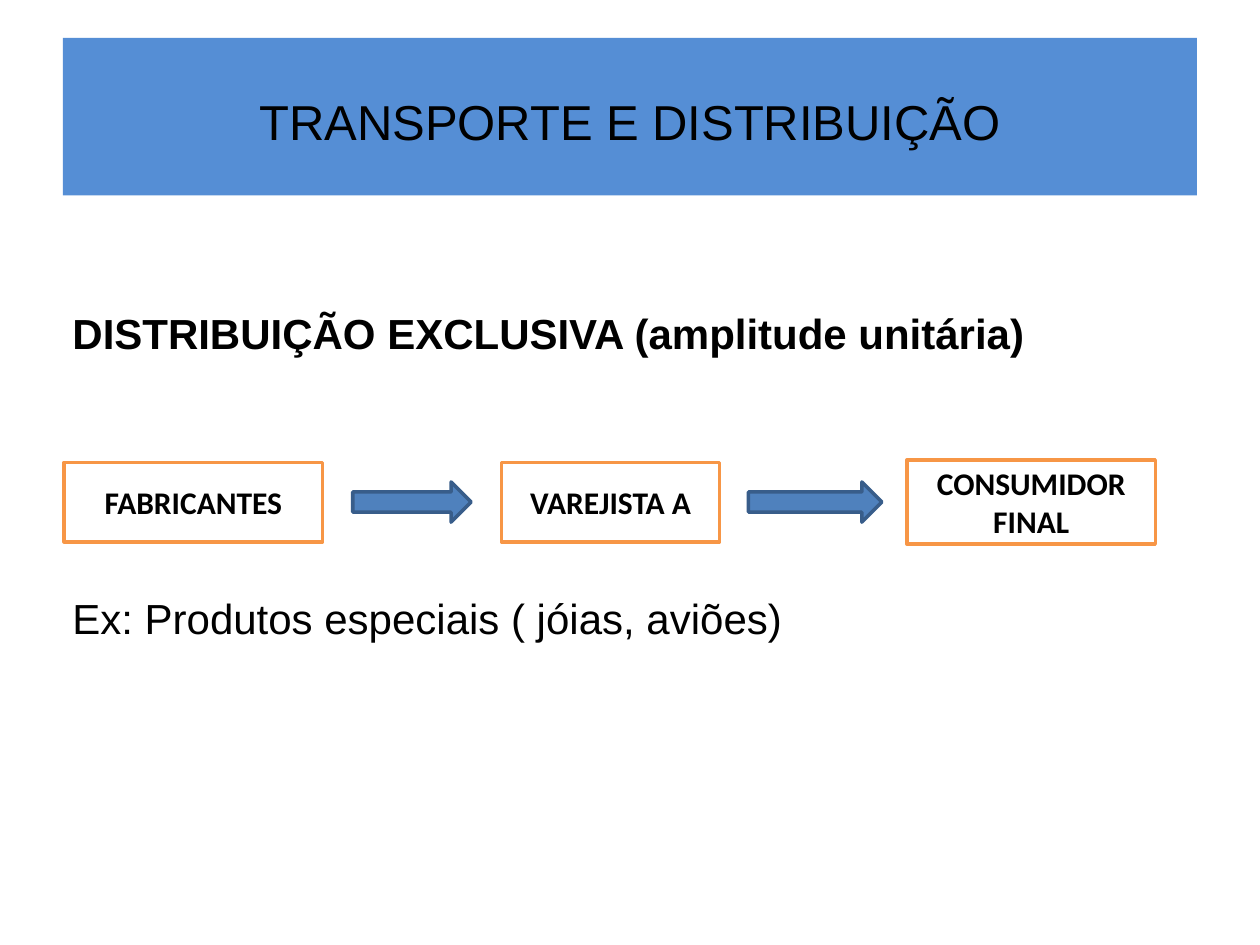
from pptx import Presentation
from pptx.dml.color import RGBColor
from pptx.enum import shapes, text
from pptx.util import Pt


def rgb(value):
    return RGBColor.from_string(value)


def write(tf, content, size=24, font="Arial", bold=False, align=text.PP_ALIGN.CENTER,
          before=0, new=False):
    p = tf.add_paragraph() if new else tf.paragraphs[0]
    p.alignment = align
    p.space_before = Pt(before)
    r = p.add_run()
    r.text = content
    r.font.size = Pt(size)
    r.font.name = font
    r.font.bold = bold
    r.font.color.rgb = rgb("000000")


prs = Presentation()
prs.slide_width, prs.slide_height = Pt(720), Pt(540)
s = prs.slides.add_slide(prs.slide_layouts[6])

sp = s.shapes.add_shape(shapes.MSO_SHAPE.RECTANGLE, Pt(36), Pt(21.6), Pt(648), Pt(90))
sp.shadow.inherit = False
sp.fill.solid()
sp.fill.fore_color.rgb = rgb("558ED5")
sp.line.fill.background()
tf = sp.text_frame
tf.word_wrap = True
tf.vertical_anchor = text.MSO_ANCHOR.MIDDLE
tf.margin_top = Pt(8.6)
write(tf, "TRANSPORTE E DISTRIBUIÇÃO", size=28)

tf = s.shapes.add_textbox(Pt(36), Pt(172.4), Pt(648), Pt(310)).text_frame
tf.word_wrap = True
tf.margin_left = Pt(5.4)
write(tf, "DISTRIBUIÇÃO EXCLUSIVA (amplitude unitária)", bold=True, align=text.PP_ALIGN.LEFT)
write(tf, "Ex: Produtos especiais ( jóias, aviões)", align=text.PP_ALIGN.LEFT,
      before=134, new=True)

middle = 286.9
box, arrow = shapes.MSO_SHAPE.FLOWCHART_PROCESS, shapes.MSO_SHAPE.RIGHT_ARROW
chain = [
    (box, 36.7, 147.6, 45.4, "FABRICANTES"),
    (arrow, 201.6, 67.7, 23, ""),
    (box, 286.6, 124.6, 45.4, "VAREJISTA A"),
    (arrow, 427.7, 76.3, 23, ""),
    (box, 518.4, 141.8, 48.2, "CONSUMIDOR FINAL"),
]
colors = {box: ("FFFFFF", "F79646"), arrow: ("4F81BD", "385D8A")}
for kind, left, width, height, label in chain:
    sp = s.shapes.add_shape(kind, Pt(left), Pt(middle - height / 2), Pt(width), Pt(height))
    sp.shadow.inherit = False
    fill, line = colors[kind]
    sp.fill.solid()
    sp.fill.fore_color.rgb = rgb(fill)
    sp.line.color.rgb = rgb(line)
    sp.line.width = Pt(2)
    if label:
        tf = sp.text_frame
        tf.word_wrap = True
        tf.vertical_anchor = text.MSO_ANCHOR.MIDDLE
        write(tf, label, size=18, font="Calibri", bold=True)

prs.save("out.pptx")
